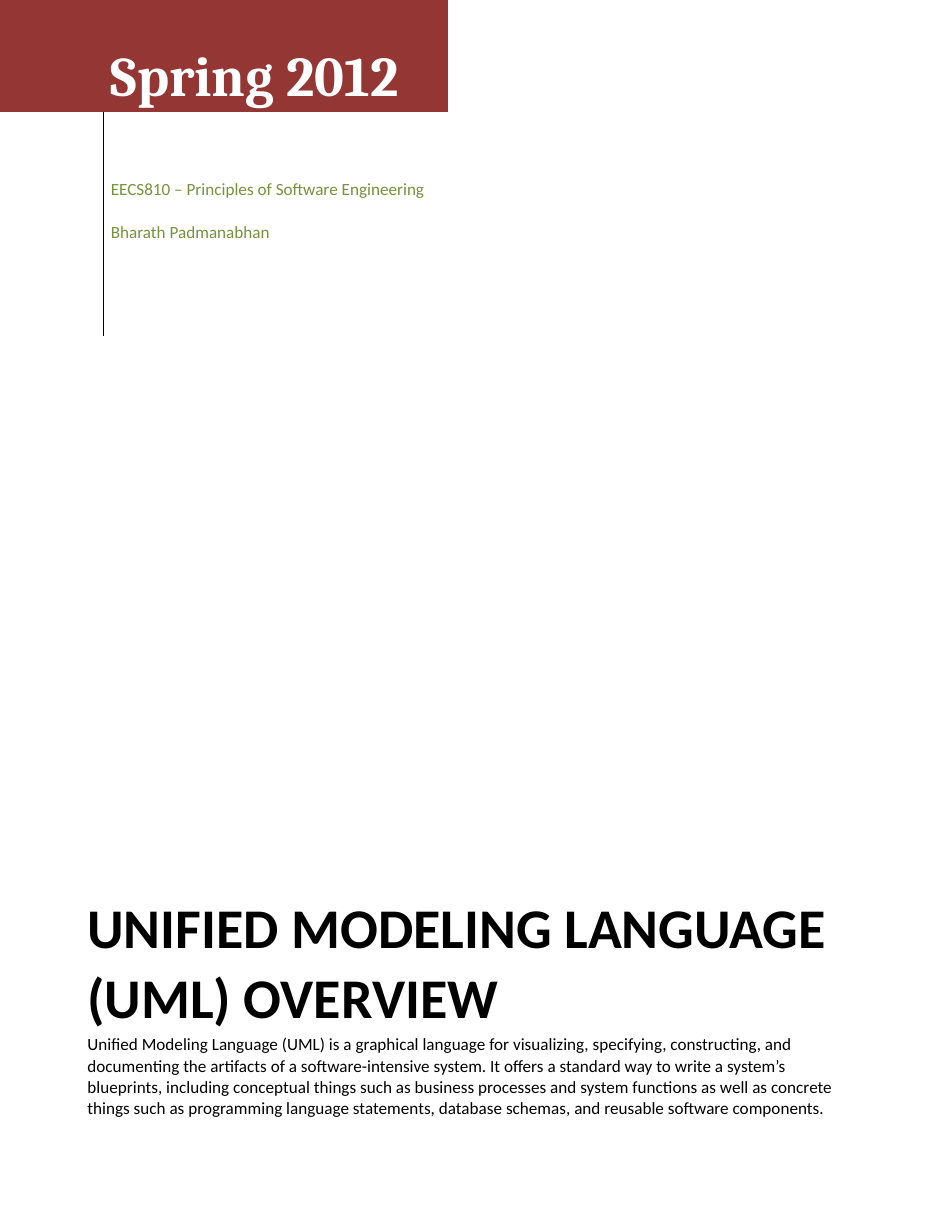
"""Build the cover page of a UML overview report."""

from pptx import Presentation
from pptx.dml.color import RGBColor
from pptx.enum.text import MSO_ANCHOR
from pptx.oxml import parse_xml
from pptx.oxml.ns import nsdecls, qn
from pptx.util import Pt

COLORS = {"banner": "933634", "white": "FFFFFF", "green": "76923B", "black": "000000"}
PLAIN_STYLE = "{2D5ABB26-0587-4C30-8999-92F81FD0307C}"
COURSE = ["EECS810 – Principles of Software Engineering", "Bharath Padmanabhan"]
TITLE = ["UNIFIED MODELING LANGUAGE", "(UML) OVERVIEW"]
SUMMARY = [
    "Unified Modeling Language (UML) is a graphical language for visualizing, "
    "specifying, constructing, and documenting the artifacts of a "
    "software-intensive system. It offers a standard way to write a system’s "
    "blueprints, including conceptual things such as business processes and "
    "system functions as well as concrete things such as programming language "
    "statements, database schemas, and reusable software components."
]


def add_plain_table(page, left, top, widths, heights):
    """Add a table without style, fill or cell margins."""
    frame = page.shapes.add_table(
        len(heights), len(widths), Pt(left), Pt(top), Pt(sum(widths)), Pt(sum(heights))
    )
    table = frame.table
    table.first_row = table.horz_banding = False
    table._tbl.tblPr.find(qn("a:tableStyleId")).text = PLAIN_STYLE
    for column, width in zip(table.columns, widths):
        column.width = Pt(width)
    for row, height in zip(table.rows, heights):
        row.height = Pt(height)
    for cell in table.iter_cells():
        cell.fill.background()
        cell.vertical_anchor = MSO_ANCHOR.TOP
        cell.margin_left = cell.margin_top = cell.margin_right = cell.margin_bottom = 0
    return table


def fill_cell(cell, color):
    """Fill a cell with one colour."""
    cell.fill.solid()
    cell.fill.fore_color.rgb = RGBColor.from_string(COLORS[color])


def add_border(cell, side, color, width):
    """Draw one side of a cell, named lnL, lnR, lnT or lnB."""
    line = parse_xml(
        f'<a:{side} {nsdecls("a")} w="{Pt(width)}"><a:solidFill>'
        f'<a:srgbClr val="{COLORS[color]}"/></a:solidFill></a:{side}>'
    )
    cell._tc.get_or_add_tcPr().insert(0, line)


def write_cell(cell, lines, size, color, left, top=0, font="Calibri", bold=False, spacing=None):
    """Write one paragraph per line and format its text."""
    cell.margin_left, cell.margin_top = Pt(left), Pt(top)
    cell.text_frame.text = "\n".join(lines)
    for para in cell.text_frame.paragraphs:
        if spacing:
            para.line_spacing = Pt(spacing)
        for span in para.runs:
            span.font.name = font
            span.font.size = Pt(size)
            span.font.bold = bold
            span.font.color.rgb = RGBColor.from_string(COLORS[color])


def add_header(page):
    """Add the term banner with the course and author below it."""
    table = add_plain_table(page, 0, 0, [66.24, 221.76], [72, 144])
    for column in range(2):
        fill_cell(table.cell(0, column), "banner")
    add_border(table.cell(1, 0), "lnR", "black", 0.5)
    add_border(table.cell(1, 1), "lnL", "black", 0.5)
    write_cell(table.cell(0, 1), ["Spring 2012"], 36, "white", 5, 28, "Cambria", True, 43.1)
    write_cell(table.cell(1, 1), COURSE, 11, "green", 5, 29.5, spacing=27.4)


def add_overview(page):
    """Add the report title and its summary."""
    table = add_plain_table(page, 54, 585.36, [484.56], [79.5, 54.8])
    title = table.cell(0, 0)
    write_cell(title, TITLE, 36, "black", 2.2, bold=True)
    first, second = title.text_frame.paragraphs
    first.line_spacing = Pt(34.2)
    second.space_before = Pt(0.7)
    write_cell(table.cell(1, 0), SUMMARY, 11, "black", 2.2, spacing=13.7)


def main():
    """Build and save the page."""
    deck = Presentation()
    deck.slide_width, deck.slide_height = Pt(612), Pt(792)
    page = deck.slides.add_slide(deck.slide_layouts[6])
    add_header(page)
    add_overview(page)
    deck.save("out.pptx")


if __name__ == "__main__":
    main()
